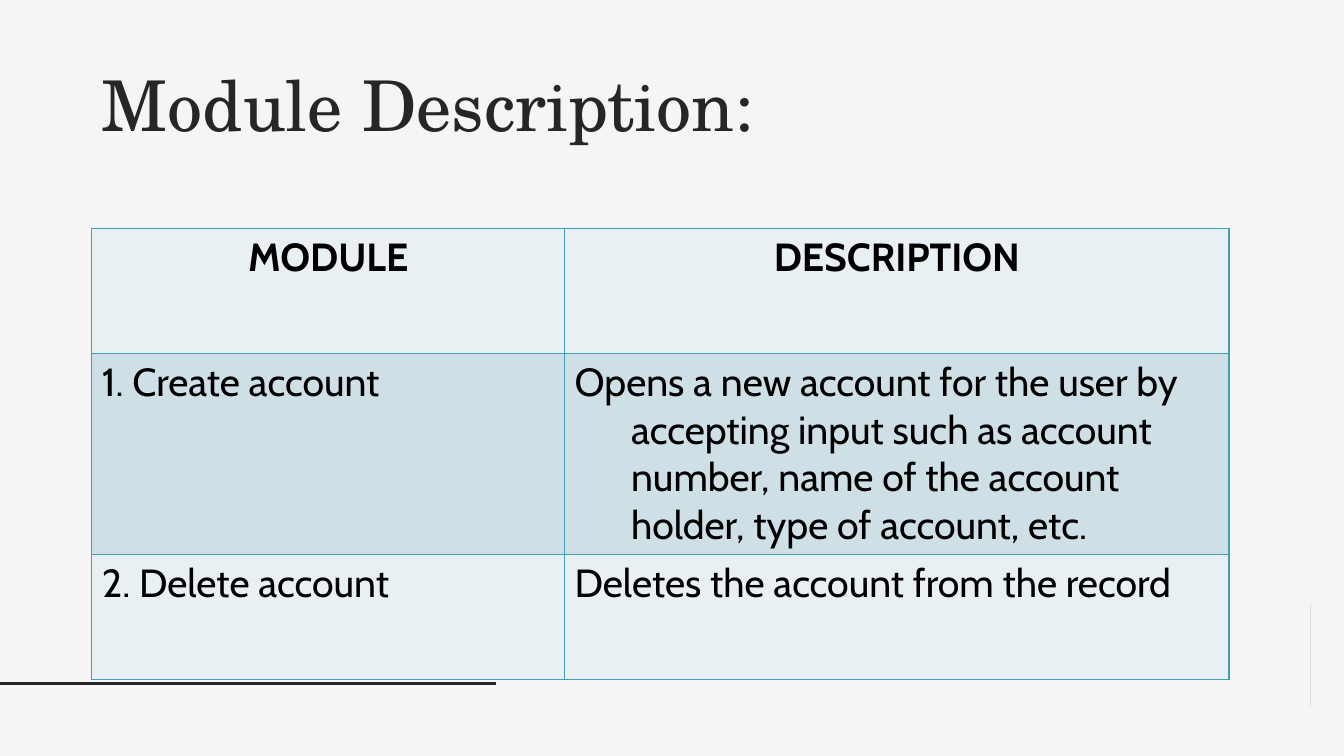
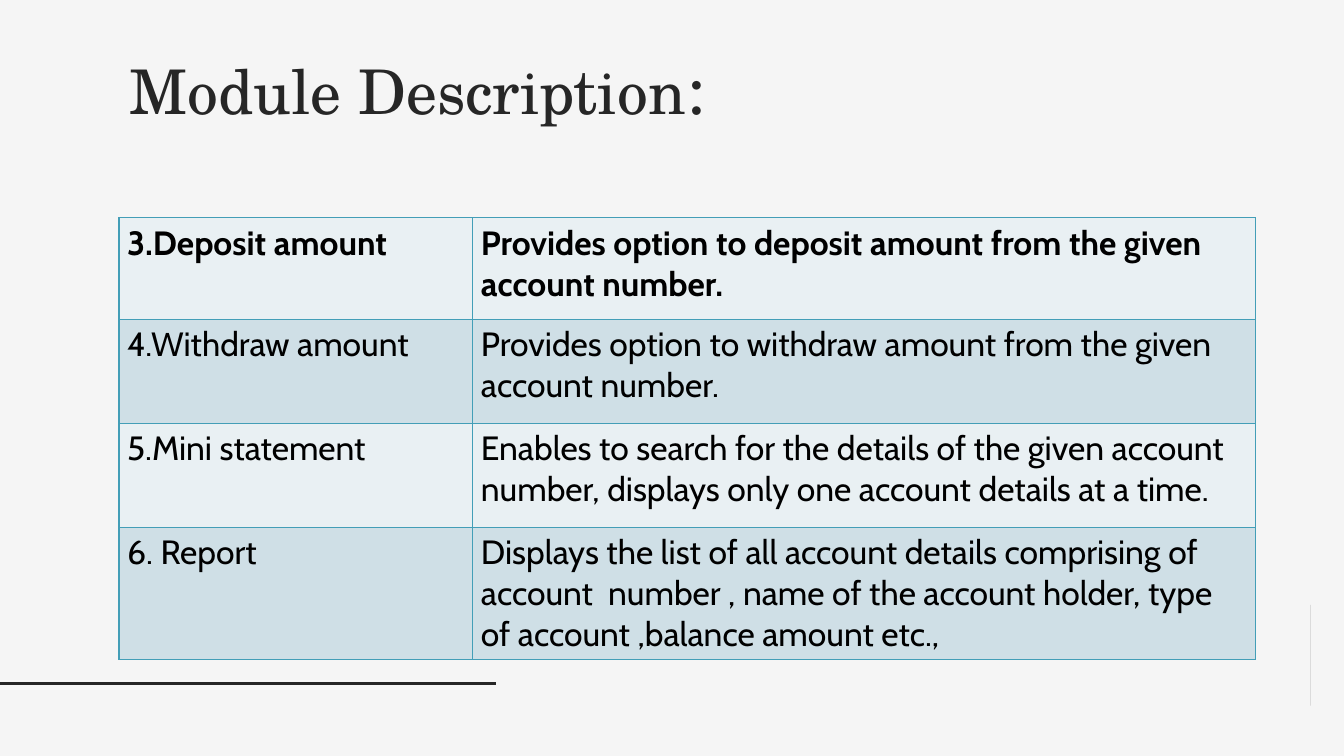
from math import cos, pi, sin

from lxml.etree import SubElement
from pptx import Presentation
from pptx.dml.color import RGBColor
from pptx.enum.shapes import MSO_CONNECTOR, PP_PLACEHOLDER
from pptx.enum.text import MSO_ANCHOR, MSO_AUTO_SIZE, PP_ALIGN
from pptx.oxml.ns import qn
from pptx.util import Inches, Pt

PAPER = RGBColor(0xF5, 0xF5, 0xF5)
INK = RGBColor(0x26, 0x26, 0x26)
BLACK = RGBColor(0, 0, 0)
BORDER = RGBColor(0x43, 0x9E, 0xB7)
ROW_FILLS = (RGBColor(0xE9, 0xF0, 0xF3), RGBColor(0xCF, 0xDF, 0xE6))
TITLE_FONT, BODY_FONT = "TeX Gyre Schola", "Cabin"
WIDTH, HEIGHT = 13.33, 7.5

PAGES = [
    {
        "title": [("Module Description:", 50)],
        "title_at": (0.91, 0.65, 8.29, 1.04),
        "table_at": (0.91, 2.27),
        "columns": (4.69, 6.59),
        "heights": (1.24, 1.98, 1.24),
        "size": 28,
        "side_margin": 0.1,
        "centred_header": True,
        "hanging": {(1, 1): 0.56},
        "rows": [
            ("MODULE", "DESCRIPTION"),
            ("1. Create account",
             "Opens a new account for the user by accepting input such as "
             "account number, name of the account holder, type of account, etc."),
            ("2. Delete account", "Deletes the account from the record"),
        ],
    },
    {
        "title": [("Module Description", 44), (":", 50)],
        "title_at": (1.18, 0.49, 8.31, 1.06),
        "table_at": (1.18, 2.16),
        "columns": (3.51, 7.76),
        "heights": (1.01, 1.03, 1.03, 1.31),
        "size": 24,
        "side_margin": 0.08,
        "centred_header": False,
        "hanging": {},
        "rows": [
            ("3.Deposit amount",
             "Provides option to deposit amount from the given account number."),
            ("4.Withdraw amount",
             "Provides option to withdraw amount from the given account number."),
            ("5.Mini statement",
             "Enables to search for the details of the given account  number, "
             "displays only one account details at a time. "),
            ("6. Report",
             "Displays the list of all account details comprising of account  "
             "number , name of the account holder, type of account ,balance "
             "amount etc.,"),
        ],
    },
]


def style(span, font, size, color, bold=False):
    """Format one run."""
    span.font.name, span.font.size, span.font.bold = font, Pt(size), bold
    span.font.color.rgb = color


def decorate_layout(layout, page):
    """Draw the half disc and the rule once and keep them in the layout."""
    for holder in list(layout.placeholders):
        if holder.placeholder_format.type != PP_PLACEHOLDER.TITLE:
            holder.element.getparent().remove(holder.element)

    radius, middle, steps = 0.45, 6.33, 40
    angles = [pi / 2 + pi * step / steps for step in range(steps + 1)]
    points = [(WIDTH + radius * cos(angle), middle + radius * sin(angle))
              for angle in angles]
    builder = page.shapes.build_freeform(*points[0], scale=Inches(1))
    builder.add_line_segments(points[1:], close=True)
    disc = builder.convert_to_shape()
    disc.shadow.inherit = False
    disc.fill.solid()
    disc.fill.fore_color.rgb = INK
    disc.line.fill.background()

    rule = page.shapes.add_connector(
        MSO_CONNECTOR.STRAIGHT, 0, Inches(6.78), Inches(4.92), Inches(6.78))
    rule.line.color.rgb, rule.line.width = INK, Pt(2)
    SubElement(rule.element.spPr, qn("a:effectLst"))

    for shape in (disc, rule):
        layout.shapes.element.append(shape.element)


def write_title(page, spans, at):
    """Place and format the title placeholder."""
    box = page.shapes.title
    box.left, box.top, box.width, box.height = map(Inches, at)
    frame = box.text_frame
    frame.word_wrap, frame.auto_size = True, MSO_AUTO_SIZE.NONE
    frame.vertical_anchor = MSO_ANCHOR.TOP
    para = frame.paragraphs[0]
    para.alignment, para.line_spacing = PP_ALIGN.LEFT, 0.9
    for text, size in spans:
        span = para.add_run()
        span.text = text
        style(span, TITLE_FONT, size, INK)


def outline(cell):
    """Give a cell thin borders on all four sides."""
    props = cell._tc.get_or_add_tcPr()
    for index, side in enumerate(("lnL", "lnR", "lnT", "lnB")):
        line = props.makeelement(qn(f"a:{side}"), {"w": str(Pt(1))})
        props.insert(index, line)
        SubElement(SubElement(line, qn("a:solidFill")), qn("a:srgbClr"),
                   val=str(BORDER))


def add_module_table(page, content):
    """Add the table of modules with alternating row fills."""
    rows, columns, heights = (content[key] for key in ("rows", "columns", "heights"))
    left, top = content["table_at"]
    table = page.shapes.add_table(
        len(rows), len(columns), Inches(left), Inches(top),
        Inches(sum(columns)), Inches(sum(heights))).table
    for column, width in zip(table.columns, columns):
        column.width = Inches(width)
    for row, height in zip(table.rows, heights):
        row.height = Inches(height)
    for r, texts in enumerate(rows):
        for c, text in enumerate(texts):
            cell = table.cell(r, c)
            cell.text = text
            cell.margin_left = cell.margin_right = Inches(content["side_margin"])
            cell.fill.solid()
            cell.fill.fore_color.rgb = ROW_FILLS[r % 2]
            outline(cell)
            para = cell.text_frame.paragraphs[0]
            style(para.runs[0], BODY_FONT, content["size"], BLACK, bold=r == 0)
            if r == 0 and content["centred_header"]:
                para.alignment = PP_ALIGN.CENTER
            if (r, c) in content["hanging"]:
                indent = Inches(content["hanging"][r, c])
                props = para._p.get_or_add_pPr()
                props.set("marL", str(indent))
                props.set("indent", str(-indent))


deck = Presentation()
deck.slide_width, deck.slide_height = Inches(WIDTH), Inches(HEIGHT)
backdrop = deck.slide_master.background.fill
backdrop.solid()
backdrop.fore_color.rgb = PAPER
title_only = deck.slide_layouts[5]

for number, content in enumerate(PAGES):
    page = deck.slides.add_slide(title_only)
    if number == 0:
        decorate_layout(title_only, page)
    write_title(page, content["title"], content["title_at"])
    add_module_table(page, content)

deck.save("out.pptx")
